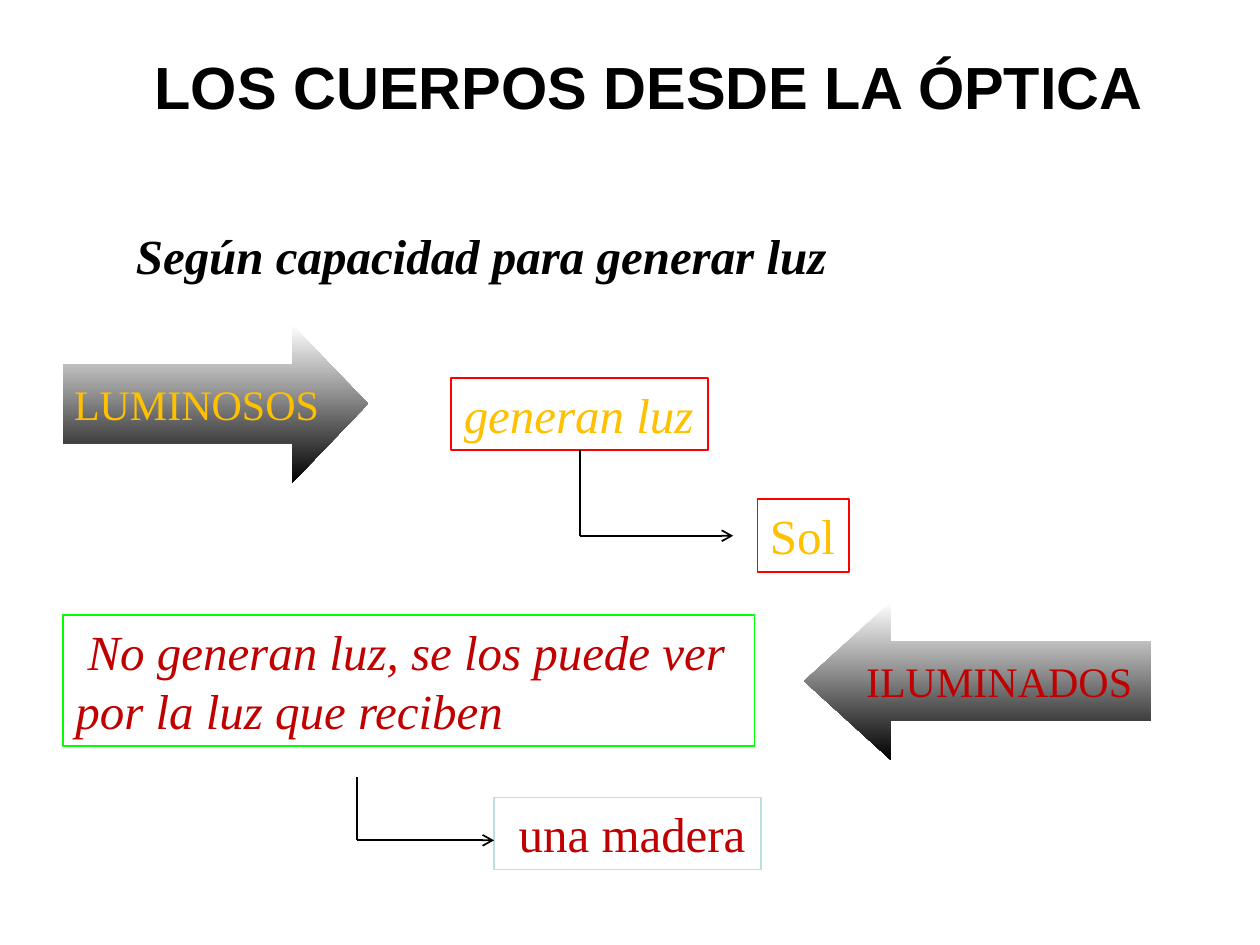
import pptx
import pptx.dml.color
import pptx.enum.shapes
import pptx.enum.text
import pptx.oxml
import pptx.oxml.ns
import pptx.util
from pptx.util import Cm

RGBColor = pptx.dml.color.RGBColor
MSO_SHAPE = pptx.enum.shapes.MSO_SHAPE
PP_ALIGN = pptx.enum.text.PP_ALIGN
MSO_ANCHOR = pptx.enum.text.MSO_ANCHOR
MSO_AUTO_SIZE = pptx.enum.text.MSO_AUTO_SIZE

BLACK = RGBColor(0x00, 0x00, 0x00)
WHITE = RGBColor(0xFF, 0xFF, 0xFF)
AMBER = RGBColor(0xFF, 0xC0, 0x00)
DARK_RED = RGBColor(0xC0, 0x00, 0x00)
RED = RGBColor(0xFF, 0x00, 0x00)
GREEN = RGBColor(0x00, 0xFF, 0x00)
PALE_BLUE = RGBColor(0xBB, 0xE0, 0xE3)


class SlideBuilder:
    """Holds the slide and the style of its elements."""

    title_format = {"name": "Arial", "size": pptx.util.Pt(34), "bold": True}
    body_format = {"name": "Times New Roman", "size": pptx.util.Pt(28)}
    line_width = pptx.util.Pt(1)

    def __init__(self, slide):
        self.slide = slide

    def fill_text(self, shape, lines, color, align, anchor, font_format):
        frame = shape.text_frame
        frame.vertical_anchor = anchor
        for index, line in enumerate(lines):
            paragraph = frame.paragraphs[0] if index == 0 else frame.add_paragraph()
            paragraph.alignment = align
            run = paragraph.add_run()
            run.text = line
            run.font.color.rgb = color
            for attribute, value in font_format.items():
                setattr(run.font, attribute, value)

    def title(self, text, left, top, width, height):
        shape = self.slide.shapes.title
        position = {"left": left, "top": top, "width": width, "height": height}
        for attribute, value in position.items():
            setattr(shape, attribute, Cm(value))
        shape.text_frame.auto_size = MSO_AUTO_SIZE.NONE
        self.fill_text(shape, [text], BLACK, PP_ALIGN.CENTER, MSO_ANCHOR.MIDDLE,
                       self.title_format)

    def text_box(self, lines, left, top, width, height, color, border=None, **style):
        shape = self.slide.shapes.add_textbox(Cm(left), Cm(top), Cm(width), Cm(height))
        if border is not None:
            shape.line.color.rgb = border
            shape.line.width = self.line_width
        shape.text_frame.word_wrap = False
        shape.text_frame.auto_size = MSO_AUTO_SIZE.SHAPE_TO_FIT_TEXT
        self.fill_text(shape, lines, color, PP_ALIGN.LEFT, MSO_ANCHOR.TOP,
                       {**self.body_format, **style})
        return shape

    def block_arrow(self, kind, text, left, top, width, head, color):
        shape = self.slide.shapes.add_shape(
            kind, Cm(left), Cm(top), Cm(width), Cm(3.18))
        shape.adjustments[0] = 0.5
        shape.adjustments[1] = head
        shape.shadow.inherit = False
        shape.line.fill.background()
        shape.fill.gradient()
        shape.fill.gradient_angle = 270
        for stop, position, shade in zip(shape.fill.gradient_stops, (0, 1), (WHITE, BLACK)):
            stop.position = position
            stop.color.rgb = shade
        shape.text_frame.word_wrap = False
        self.fill_text(shape, [text], color, PP_ALIGN.CENTER, MSO_ANCHOR.MIDDLE,
                       {**self.body_format, "size": pptx.util.Pt(24)})

    def line(self, start, end, arrow=False):
        connector = self.slide.shapes.add_connector(
            pptx.enum.shapes.MSO_CONNECTOR.STRAIGHT, *map(Cm, start + end))
        connector.line.color.rgb = BLACK
        connector.line.width = self.line_width
        properties = connector._element.spPr
        namespace = pptx.oxml.ns.nsdecls("a")
        if arrow:
            outline = properties.find(pptx.oxml.ns.qn("a:ln"))
            outline.append(pptx.oxml.parse_xml(f'<a:tailEnd {namespace} type="arrow"/>'))
        properties.append(pptx.oxml.parse_xml(f"<a:effectLst {namespace}/>"))
        return connector

    def corner_arrow(self, x, top, bottom, right):
        """Goes down from the top, then right to an arrowhead."""
        stem = self.line((x, top), (x, bottom))
        self.line((x, bottom), (right, bottom), arrow=True)
        return stem


def main():
    presentation = pptx.Presentation()
    presentation.slide_width = Cm(25.4)
    presentation.slide_height = Cm(19.05)
    slide = presentation.slides.add_slide(presentation.slide_layouts[5])
    builder = SlideBuilder(slide)

    # Title and subtitle
    builder.title(" LOS CUERPOS DESDE LA ÓPTICA", 1.27, 0.13, 23.29, 3.18)
    builder.text_box(["Según capacidad para generar luz"],
                     2.49, 4.42, 14.88, 1.45, BLACK, bold=True, italic=True)

    # Luminous bodies
    builder.block_arrow(MSO_SHAPE.RIGHT_ARROW, "LUMINOSOS",
                        1.27, 6.55, 6.15, 0.48, AMBER)
    emits_light = builder.text_box(["generan luz"], 9.1, 7.62, 5.18, 1.45,
                                   AMBER, RED, italic=True)
    builder.text_box(["Sol"], 15.27, 10.06, 1.85, 1.47, AMBER, RED)
    box_middle = 9.1 + 5.18 / 2
    stem = builder.corner_arrow(box_middle, 9.07, 10.8, 14.78)
    stem.begin_connect(emits_light, 2)

    # Illuminated bodies
    builder.block_arrow(MSO_SHAPE.LEFT_ARROW, "ILUMINADOS",
                        16.21, 12.14, 6.99, 0.55, DARK_RED)
    builder.text_box([" No generan luz, se los puede ver", "por la luz que reciben"],
                     1.27, 12.4, 13.94, 2.64, DARK_RED, GREEN, italic=True)
    builder.text_box([" una madera"], 9.96, 16.08, 5.38, 1.45, DARK_RED, PALE_BLUE)
    builder.corner_arrow(7.19, 15.67, 16.94, 9.96)

    presentation.save("out.pptx")


if __name__ == "__main__":
    main()
